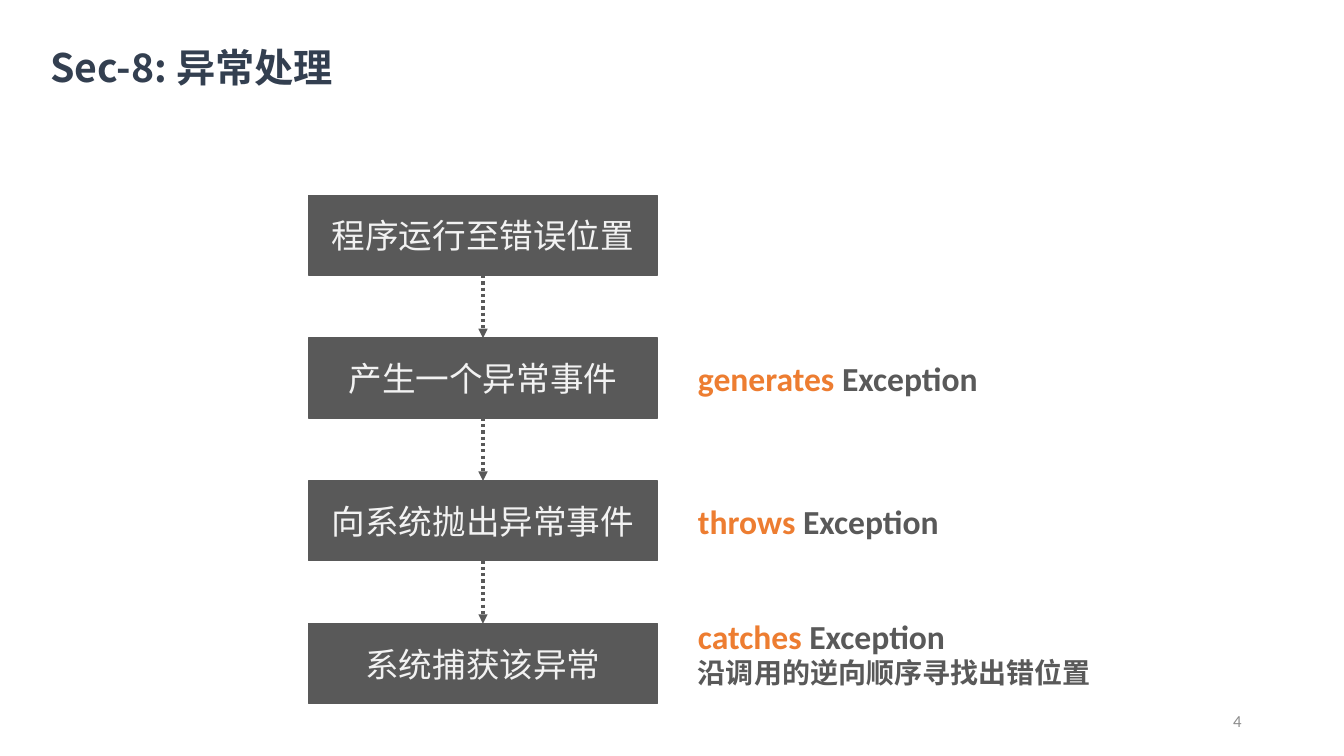
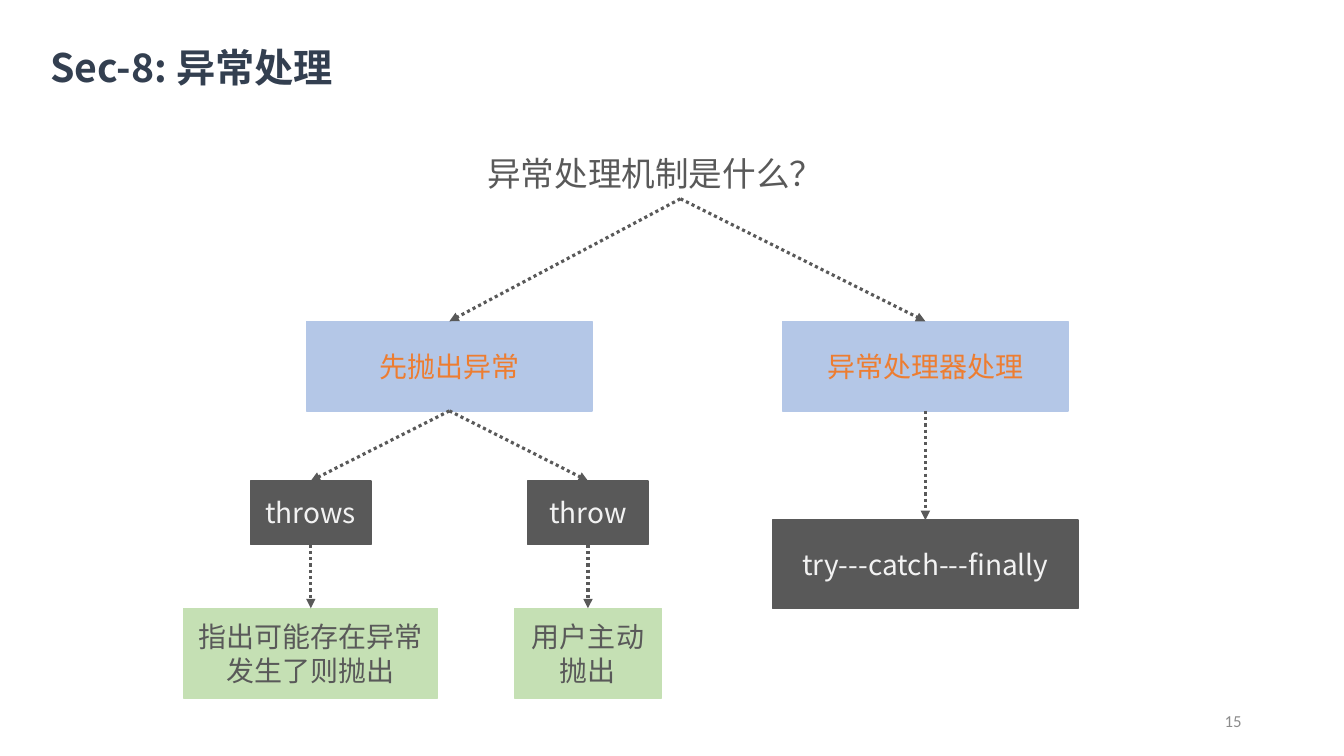
from lxml import etree
from pptx import Presentation
from pptx.dml.color import RGBColor
from pptx.enum.dml import MSO_LINE
from pptx.enum.shapes import MSO_CONNECTOR, MSO_SHAPE
from pptx.enum.text import MSO_ANCHOR, PP_ALIGN
from pptx.oxml.ns import qn
from pptx.util import Pt

GREY = RGBColor(0x59, 0x59, 0x59)
PALE = RGBColor(0xF2, 0xF2, 0xF2)
ORANGE = RGBColor(0xED, 0x7D, 0x31)
BLUE = RGBColor(0xB4, 0xC7, 0xE7)
GREEN = RGBColor(0xC5, 0xE0, 0xB4)
NAVY = RGBColor(0x33, 0x3F, 0x50)
NUMBER_GREY = RGBColor(0x8C, 0x8C, 0x8C)
CJK_FONT = "Noto Sans CJK SC"
LATIN_FONT = "Calibri"

LEFT, CENTER, RIGHT = PP_ALIGN.LEFT, PP_ALIGN.CENTER, PP_ALIGN.RIGHT
MIDDLE = MSO_ANCHOR.MIDDLE
RECTANGLE = MSO_SHAPE.RECTANGLE
STRAIGHT = MSO_CONNECTOR.STRAIGHT
DOTTED = MSO_LINE.ROUND_DOT
TOP_SITE, BOTTOM_SITE = 0, 2
TITLE_ONLY = 5


def add_text(paragraph, text, size=20, color=GREY, font=CJK_FONT, bold=False, align=LEFT):
    """Append one formatted run to a paragraph."""
    paragraph.alignment = align
    run = paragraph.add_run()
    run.text = text
    run.font.size = Pt(size)
    run.font.bold = bold
    run.font.color.rgb = color
    run.font.name = font
    etree.SubElement(run.font._element, qn("a:ea"), typeface=CJK_FONT)


def middle_frame(shape):
    """Return the shape's text frame, wrapped and vertically centred."""
    frame = shape.text_frame
    frame.word_wrap = True
    frame.vertical_anchor = MIDDLE
    return frame


def add_label(slide, left, top, width, height):
    """Add a text box and return its text frame."""
    return middle_frame(slide.shapes.add_textbox(Pt(left), Pt(top), Pt(width), Pt(height)))


def add_node(slide, text, center, top, width, height, fill=GREY, color=PALE, size=20):
    """Add a filled box placed by its horizontal centre."""
    node = slide.shapes.add_shape(
        RECTANGLE, Pt(center - width / 2), Pt(top), Pt(width), Pt(height))
    node.shadow.inherit = False
    node.fill.solid()
    node.fill.fore_color.rgb = fill
    node.line.color.rgb = fill
    node.line.width = Pt(1)
    add_text(middle_frame(node).paragraphs[0], text, size=size, color=color, align=CENTER)
    return node


def link(slide, upper, lower):
    """Join two shapes, bottom to top, with a dotted arrow."""
    arrow = slide.shapes.add_connector(STRAIGHT, 0, 0, 0, 0)
    arrow.begin_connect(upper, BOTTOM_SITE)
    arrow.end_connect(lower, TOP_SITE)
    arrow.line.color.rgb = GREY
    arrow.line.width = Pt(2.25)
    arrow.line.dash_style = DOTTED
    properties = arrow.element.spPr
    etree.SubElement(properties.find(qn("a:ln")), qn("a:tailEnd"), type="triangle")
    etree.SubElement(properties, qn("a:effectLst"))


def add_section_slide(deck, number):
    """Add a slide with the section title and its page number."""
    slide = deck.slides.add_slide(deck.slide_layouts[TITLE_ONLY])
    title = slide.shapes.title
    title.left, title.top, title.width, title.height = Pt(36), Pt(30), Pt(467), Pt(35)
    heading = middle_frame(title)
    heading.margin_left = heading.margin_right = heading.margin_top = heading.margin_bottom = 0
    add_text(heading.paragraphs[0], "Sec-8: 异常处理", size=28, color=NAVY, bold=True)
    page = add_label(slide, 678, 500.5, 216, 28.75)
    add_text(page.paragraphs[0], str(number), size=12, color=NUMBER_GREY,
             font=LATIN_FONT, align=RIGHT)
    return slide


def add_exception_flow(slide, left, top):
    """Stack the four steps of an exception with their keywords beside them."""
    width, height, pitch = 249, 57, 102
    steps = [
        ("程序运行至错误位置", None, None),
        ("产生一个异常事件", "generates ", None),
        ("向系统抛出异常事件", "throws ", None),
        ("系统捕获该异常", "catches ", "沿调用的逆向顺序寻找出错位置"),
    ]
    previous = None
    for row, (step, verb, detail) in enumerate(steps):
        step_top = top + row * pitch
        node = add_node(slide, step, left + width / 2, step_top, width, height, size=24)
        if previous:
            link(slide, previous, node)
        previous = node
        if not verb:
            continue
        label_height = 60 if detail else 36
        middle = step_top + height / 2 - (8 if detail else 0)
        keyword = add_label(slide, left + width + 22, middle - label_height / 2,
                            299, label_height)
        first = keyword.paragraphs[0]
        add_text(first, verb, size=24, color=ORANGE, font=LATIN_FONT, bold=True)
        add_text(first, "Exception", size=24, font=LATIN_FONT, bold=True)
        if detail:
            add_text(keyword.add_paragraph(), detail, font=LATIN_FONT, bold=True)


def add_mechanism_tree(slide, left, top):
    """Draw the tree that answers what exception handling is."""
    throw_center, handle_center = left + 187, left + 527
    branch_top, call_top, effect_top = top + 123.5, top + 237.5, top + 328.5

    question = slide.shapes.add_textbox(Pt(left + 207), Pt(top), Pt(290), Pt(36))
    add_text(middle_frame(question).paragraphs[0], "异常处理机制是什么？", size=24)

    raising, handling = [
        add_node(slide, text, center, branch_top, 204, 64, fill=BLUE, color=ORANGE)
        for text, center in (("先抛出异常", throw_center), ("异常处理器处理", handle_center))]
    link(slide, question, raising)
    link(slide, question, handling)

    calls = [("throws", -99, "指出可能存在异常发生了则抛出", 181.5),
             ("throw", 99, "用户主动抛出", 105)]
    for keyword, offset, meaning, meaning_width in calls:
        center = throw_center + offset
        call = add_node(slide, keyword, center, call_top, 86, 45.5)
        effect = add_node(slide, meaning, center, effect_top, meaning_width, 64,
                          fill=GREEN, color=GREY)
        link(slide, raising, call)
        link(slide, call, effect)

    handler = add_node(slide, "try---catch---finally", handle_center, top + 265.5, 218, 63)
    link(slide, handling, handler)


def main():
    """Build and save the deck."""
    deck = Presentation()
    deck.slide_width, deck.slide_height = Pt(960), Pt(540)
    add_exception_flow(add_section_slide(deck, 4), 220.5, 139.5)
    add_mechanism_tree(add_section_slide(deck, 15), 134, 106)
    deck.save("out.pptx")


if __name__ == "__main__":
    main()
